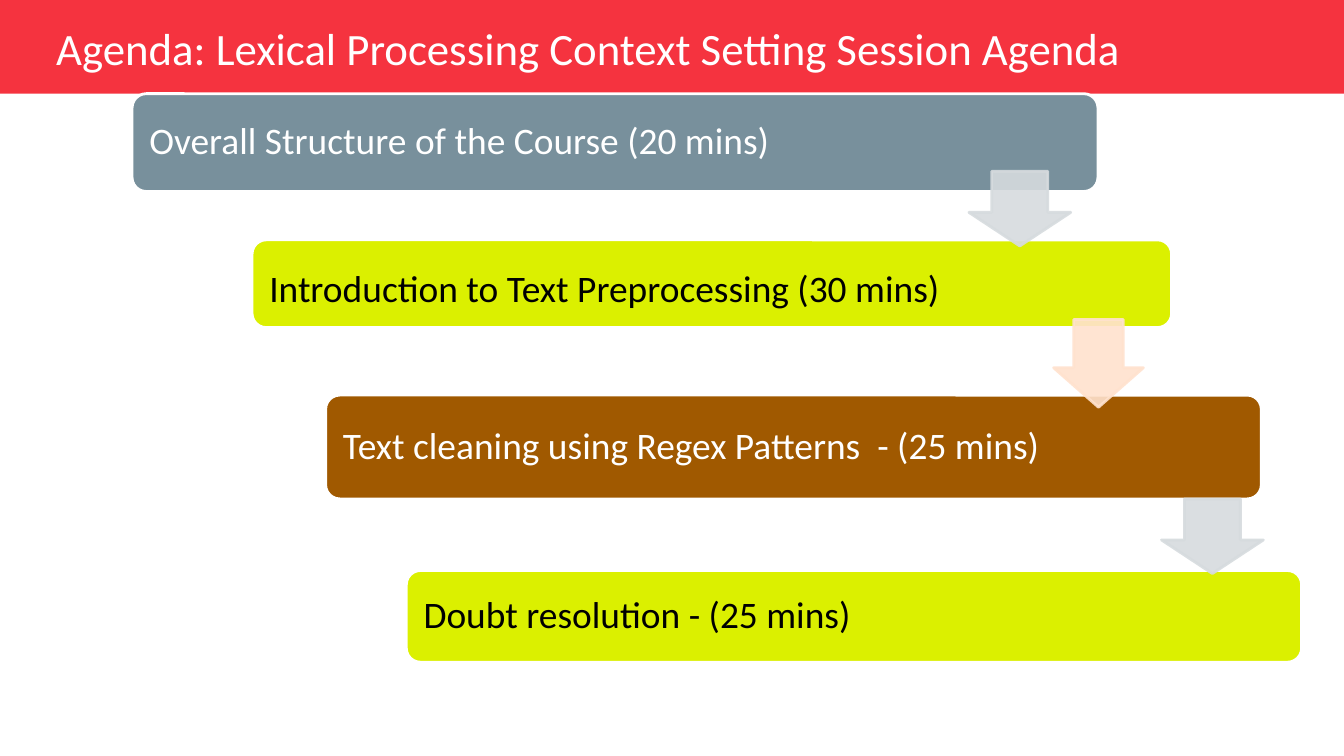
import pptx
import pptx.dml.color
import pptx.enum.shapes
import pptx.enum.text
import pptx.oxml
import pptx.oxml.ns
import pptx.util
from pptx.util import Inches

COLORS = {
    "red": "F5333F", "white": "FFFFFF", "black": "000000", "slate": "78909C",
    "lime": "DBF000", "brown": "A05900", "grey": "D6DBDE", "peach": "FFE2CE",
}
FONT = "Calibri"
TITLE = "Agenda: Lexical Processing Context Setting Session Agenda"

# text, (left, top, width, height), fill, text color, line spacing
STEPS = [
    ("Overall Structure of the Course (20 mins)",
     (1.31, 0.93, 9.58, 0.97), "slate", "white", 0.9),
    ("Introduction to Text Preprocessing (30 mins)",
     (2.5, 2.38, 9.12, 0.87), "lime", "black", 1.15),
    ("Text cleaning using Regex Patterns  - (25 mins)",
     (3.23, 3.92, 9.28, 1.03), "brown", "white", 0.9),
    ("Doubt resolution - (25 mins)",
     (4.03, 5.66, 8.88, 0.91), "lime", "black", 0.9),
]
# (left, top, width, height), color
ARROWS = [
    ((9.61, 1.7, 1.01, 0.74), "grey"),
    ((10.45, 3.17, 0.89, 0.87), "peach"),
    ((11.52, 4.95, 1.01, 0.74), "grey"),
]
CORNER = 0.14
ROUNDED_TEXT_INSET = 0.29 * CORNER
STEP_MARGIN = 0.17
SHAPES = pptx.enum.shapes.MSO_SHAPE


def rgb(name):
    return pptx.dml.color.RGBColor.from_string(COLORS[name])


def add_filled_shape(slide, kind, box, fill, line=None):
    shape = slide.shapes.add_shape(kind, *map(Inches, box))
    shape.shadow.inherit = False
    shape.fill.solid()
    shape.fill.fore_color.rgb = rgb(fill)
    if line:
        shape.line.color.rgb = rgb(line)
        shape.line.width = pptx.util.Pt(2)
    else:
        shape.line.fill.background()
    return shape


def write_text(shape, text, size, color, spacing):
    frame = shape.text_frame
    frame.word_wrap = True
    frame.vertical_anchor = pptx.enum.text.MSO_ANCHOR.MIDDLE
    frame.text = text
    paragraph = frame.paragraphs[0]
    paragraph.alignment = pptx.enum.text.PP_ALIGN.LEFT
    paragraph.line_spacing = spacing
    font = paragraph.runs[0].font
    font.name = FONT
    font.size = pptx.util.Pt(size)
    font.color.rgb = rgb(color)


def set_opacity(shape, percent):
    """Apply the opacity to both the fill and the line."""
    for color in shape.element.spPr.iter(pptx.oxml.ns.qn("a:srgbClr")):
        alpha = pptx.oxml.parse_xml(
            f'<a:alpha {pptx.oxml.ns.nsdecls("a")} val="{percent * 1000}"/>')
        color.append(alpha)


def add_step(slide, text, box, fill, color, spacing):
    step = add_filled_shape(slide, SHAPES.ROUNDED_RECTANGLE, box, fill, "white")
    step.adjustments[0] = CORNER / box[3]
    frame = step.text_frame
    frame.margin_left = Inches(STEP_MARGIN - ROUNDED_TEXT_INSET)
    frame.margin_right = Inches(2)
    write_text(step, text, 26.7, color, spacing)


def add_arrow(slide, box, color):
    arrow = add_filled_shape(slide, SHAPES.DOWN_ARROW, box, color, color)
    arrow.adjustments[0] = 0.55
    arrow.adjustments[1] = 0.45
    set_opacity(arrow, 90)


def main():
    presentation = pptx.Presentation()
    presentation.slide_width = Inches(13.33)
    presentation.slide_height = Inches(7.5)
    slide = presentation.slides.add_slide(presentation.slide_layouts[6])

    add_filled_shape(slide, SHAPES.RECTANGLE, (0, 0, 13.33, 0.93), "red")
    title = slide.shapes.add_textbox(*map(Inches, (0.46, 0.18, 11.56, 0.65)))
    write_text(title, TITLE, 32, "white", 0.9)

    for step in STEPS:
        add_step(slide, *step)
    for arrow in ARROWS:
        add_arrow(slide, *arrow)
    presentation.save("out.pptx")


if __name__ == "__main__":
    main()
